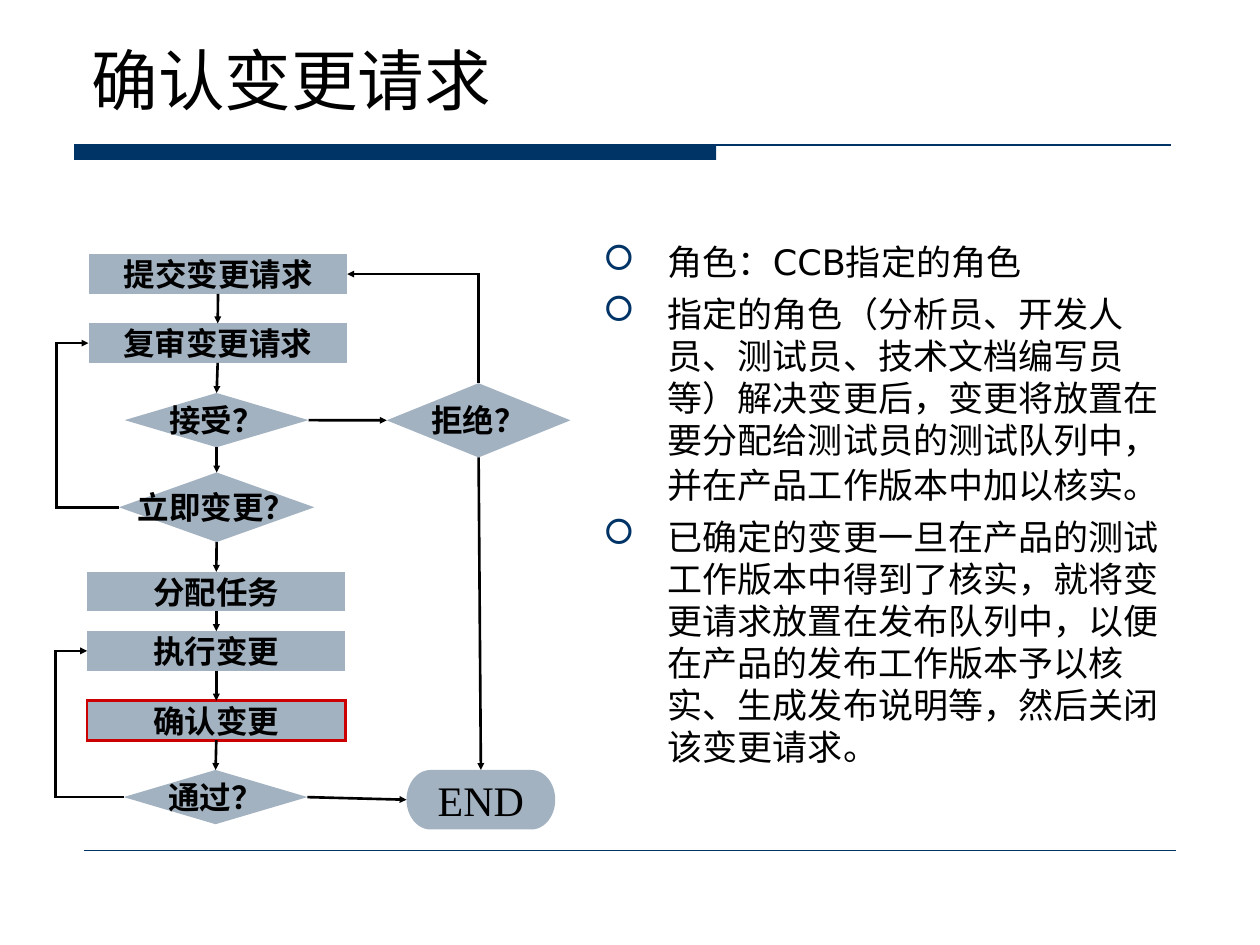
"""Build the slide on confirming a change request."""
from lxml import etree
from pptx import Presentation
from pptx.dml.color import RGBColor
from pptx.enum.shapes import MSO_CONNECTOR, MSO_SHAPE
from pptx.enum.text import MSO_ANCHOR, PP_ALIGN
from pptx.oxml.ns import qn
from pptx.util import Pt

BOX = MSO_SHAPE.FLOWCHART_PROCESS
ASK = MSO_SHAPE.FLOWCHART_DECISION
STOP = MSO_SHAPE.FLOWCHART_TERMINATOR
RECT = MSO_SHAPE.RECTANGLE
LINE, ELBOW = MSO_CONNECTOR.STRAIGHT, MSO_CONNECTOR.ELBOW
CENTER, MIDDLE, BOTTOM = PP_ALIGN.CENTER, MSO_ANCHOR.MIDDLE, MSO_ANCHOR.BOTTOM
TOP, LEFT, LOW, RIGHT = range(4)

HUES = {"ink": "000000", "navy": "003366", "node": "A3B2C1", "mark": "CC0000"}
SANS, SERIF = "DejaVu Sans", "Times New Roman"

TITLE = "确认变更请求"
POINTS = [
    (0, [("角色：CCB指定的角色", 20)]),
    (5.5, [("指定的角色（分析员、开发人员、测试员、技术文档编写员等）解决变更后，"
            "变更将放置在要分配给测试员的测试队列中，并在产品工作版本中加以核实。", 20),
           (" ", 22)]),
    (5, [("已确定的变更一旦在产品的测试工作版本中得到了核实，就将变更请求放置在发布队列中，"
          "以便在产品的发布工作版本予以核实、生成发布说明等，然后关闭该变更请求。", 20)]),
]
NODES = {
    "submit": ("提交变更请求", BOX, 124.6, 145.3, 147.6, 22.6),
    "review": ("复审变更请求", BOX, 124.4, 184.8, 147.6, 22.6),
    "accept": ("接受？", ASK, 123.8, 224.6, 105, 31),
    "now": ("立即变更？", ASK, 123.8, 270, 111.6, 39.8),
    "assign": ("分配任务", BOX, 123.6, 326.8, 147.6, 22.6),
    "work": ("执行变更", BOX, 123.6, 360.7, 147.6, 22.6),
    "confirm": ("确认变更", BOX, 123.6, 400.4, 147.6, 22.6),
    "pass": ("通过？", ASK, 123.2, 440, 105, 31),
    "reject": ("拒绝？", ASK, 273.5, 219, 105, 42.4),
    "end": ("END", STOP, 274.8, 440, 85, 34),
}
CHAIN = ["submit", "review", "accept", "now", "assign", "work", "confirm", "pass"]
LINKS = [(a, LOW, b, TOP) for a, b in zip(CHAIN, CHAIN[1:])] + [
    ("accept", RIGHT, "reject", LEFT),
    ("reject", LOW, "end", TOP),
    ("pass", RIGHT, "end", LEFT),
]
LOOPS = [("now", "review", 32.5), ("pass", "work", 31.7)]


def color(key):
    return RGBColor.from_string(HUES[key])


def write(para, text, size, face, bold=False):
    run = para.add_run()
    run.text = text
    font = run.font
    font.size, font.name, font.bold = Pt(size), face, bold
    font.color.rgb = color("ink")


def text_box(slide, x, y, w, h):
    frame = slide.shapes.add_textbox(Pt(x), Pt(y), Pt(w), Pt(h)).text_frame
    frame.word_wrap = True
    return frame


def add_shape(slide, kind, x, y, w, h, hue):
    shape = slide.shapes.add_shape(kind, Pt(x), Pt(y), Pt(w), Pt(h))
    shape.shadow.inherit = False
    shape.fill.solid()
    shape.fill.fore_color.rgb = color(hue)
    shape.line.fill.background()
    return shape


def add_node(slide, text, kind, mid, y, w, h):
    shape = add_shape(slide, kind, mid - w / 2, y, w, h, "node")
    frame = shape.text_frame
    frame.word_wrap = False
    frame.vertical_anchor = MIDDLE
    para = frame.paragraphs[0]
    para.alignment = CENTER
    write(para, text, 24 if kind == STOP else 18, SERIF, kind != STOP)
    return shape


def add_line(slide, kind, hue, width, ends=(0, 0, 0, 0)):
    line = slide.shapes.add_connector(kind, *map(Pt, ends))
    line.line.color.rgb = color(hue)
    line.line.width = Pt(width)
    etree.SubElement(line._element.spPr, qn("a:effectLst"))
    return line


def square(line):
    etree.SubElement(line._get_or_add_ln(), qn("a:miter"), lim="800000")


def add_link(slide, kind, start, out, goal, into, tip="a:tailEnd"):
    link = add_line(slide, kind, "ink", 1.5)
    link.begin_connect(start, out)
    link.end_connect(goal, into)
    square(link.line)
    etree.SubElement(link.line._get_or_add_ln(), qn(tip),
                     type="triangle", w="sm", len="sm")
    return link


def add_loop(slide, start, goal, lane):
    link = add_link(slide, ELBOW, start, LEFT, goal, LEFT)
    ratio = (link.begin_x - Pt(lane)) / (link.begin_x - link.end_x)
    guides = link._element.spPr.prstGeom.get_or_add_avLst()
    etree.SubElement(guides, qn("a:gd"), name="adj1",
                     fmla=f"val {round(ratio * 100000)}")


def add_bullet(para):
    props = para._p.get_or_add_pPr()
    props.set("marL", str(Pt(36.8)))
    props.set("indent", str(-Pt(36.8)))
    props.set("hangingPunct", "0")
    tint = etree.SubElement(props, qn("a:buClr"))
    etree.SubElement(tint, qn("a:srgbClr"), val=HUES["navy"])
    etree.SubElement(props, qn("a:buFont"), typeface="Wingdings", charset="2")
    etree.SubElement(props, qn("a:buChar"), char="□")


def main():
    deck = Presentation()
    deck.slide_width, deck.slide_height = Pt(720), Pt(540)
    slide = deck.slides.add_slide(deck.slide_layouts[6])

    add_shape(slide, RECT, 42.4, 82.6, 366.8, 8.8, "navy")
    add_line(slide, LINE, "navy", 0.75, (42.4, 82.8, 669, 82.8))
    add_line(slide, LINE, "navy", 0.25, (48, 486, 672, 486))

    head = text_box(slide, 45.4, 23.8, 630, 47.5)
    head.vertical_anchor = BOTTOM
    write(head.paragraphs[0], TITLE, 38, SANS)

    body = text_box(slide, 337.7, 134, 332.6, 336)
    for i, (gap, runs) in enumerate(POINTS):
        para = body.add_paragraph() if i else body.paragraphs[0]
        add_bullet(para)
        para.space_before = Pt(gap)
        for text, size in runs:
            write(para, text, size, SANS)

    nodes = {key: add_node(slide, *spot) for key, spot in NODES.items()}
    mark = nodes["confirm"].line
    mark.color.rgb = color("mark")
    mark.width = Pt(1.5)
    square(mark)

    for start, out, goal, into in LINKS:
        add_link(slide, LINE, nodes[start], out, nodes[goal], into)
    for start, goal, lane in LOOPS:
        add_loop(slide, nodes[start], nodes[goal], lane)
    back = add_link(slide, ELBOW, nodes["submit"], RIGHT, nodes["reject"], TOP,
                    "a:headEnd")
    back._element.spPr.prstGeom.set("prst", "bentConnector2")

    deck.save("out.pptx")


if __name__ == "__main__":
    main()
